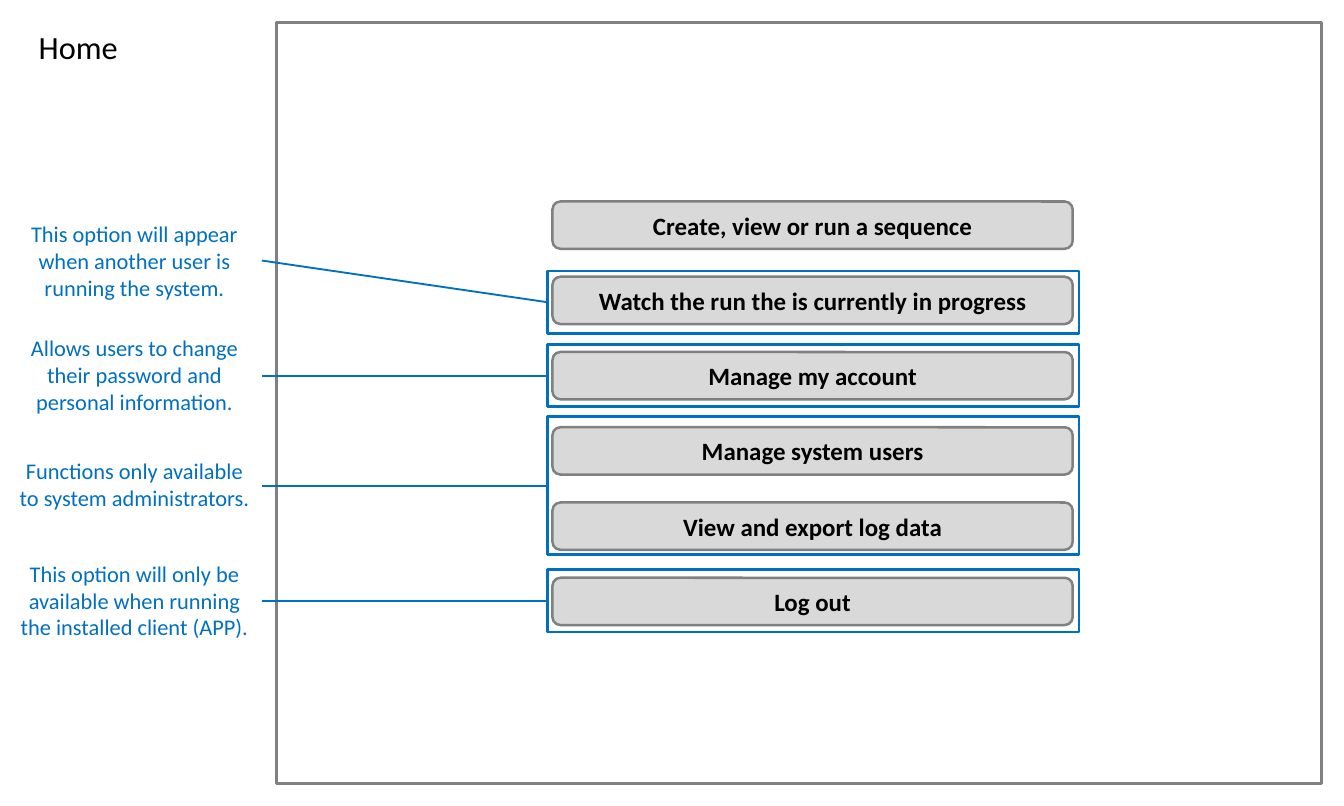
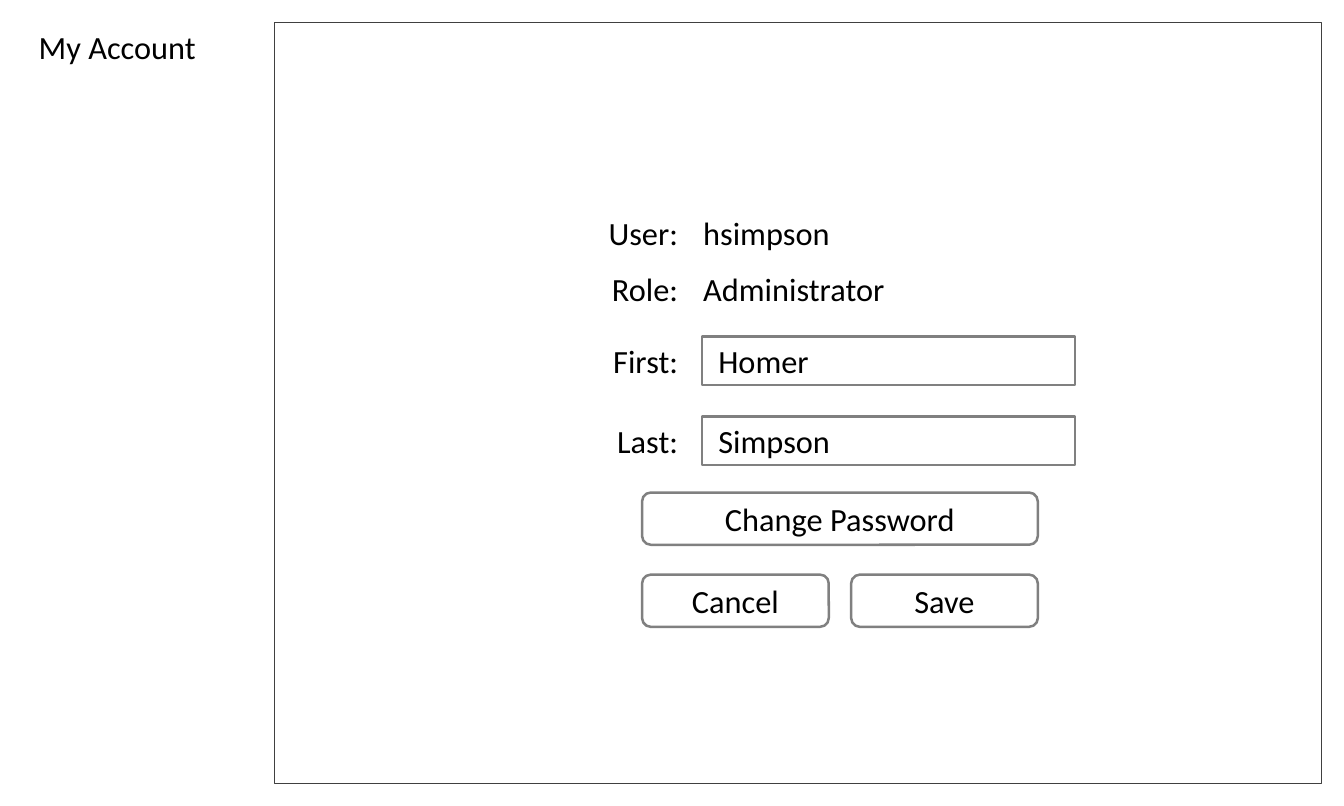
from dataclasses import dataclass

from lxml import etree
from pptx import Presentation
from pptx import util as u
from pptx.dml.color import RGBColor
from pptx.enum import shapes, text
from pptx.oxml.ns import qn

Pt = u.Pt
RECT = shapes.MSO_SHAPE.RECTANGLE
ROUND = shapes.MSO_SHAPE.ROUNDED_RECTANGLE
LEFT, CENTER, RIGHT = (text.PP_ALIGN.LEFT, text.PP_ALIGN.CENTER,
                       text.PP_ALIGN.RIGHT)


@dataclass(frozen=True)
class Theme:
    font: str = "Calibri"
    ink: str = "000000"
    white: str = "FFFFFF"
    grey: str = "808080"
    dark: str = "404040"
    button: str = "D9D9D9"
    accent: str = "0070C0"
    body: float = 26
    menu: float = 20
    note: float = 18
    line: float = 2
    leader: float = 1.5
    hairline: float = 1


T = Theme()


def rgb(value):
    return RGBColor.from_string(value)


def write(sp, words, size, color=T.ink, align=LEFT, bold=False):
    tf = sp.text_frame
    tf.word_wrap = True
    p = tf.paragraphs[0]
    p.alignment = align
    r = p.add_run()
    r.text = words
    r.font.name, r.font.size, r.font.bold = T.font, Pt(size), bold
    r.font.color.rgb = rgb(color)


def label(s, x, y, w, h, words, size=T.body, **style):
    sp = s.shapes.add_textbox(Pt(x), Pt(y), Pt(w), Pt(h))
    write(sp, words, size, **style)
    sp.text_frame.auto_size = text.MSO_AUTO_SIZE.SHAPE_TO_FIT_TEXT


def box(s, kind, x, y, w, h, fill=None, line=T.grey, weight=T.line):
    sp = s.shapes.add_shape(kind, Pt(x), Pt(y), Pt(w), Pt(h))
    sp.shadow.inherit = False
    if fill:
        sp.fill.solid()
        sp.fill.fore_color.rgb = rgb(fill)
    else:
        sp.fill.background()
    sp.line.color.rgb = rgb(line)
    sp.line.width = Pt(weight)
    return sp


def button(s, x, y, w, h, words, fill=T.white, size=T.body, bold=False):
    sp = box(s, ROUND, x, y, w, h, fill)
    write(sp, words, size, align=CENTER, bold=bold)
    tf = sp.text_frame
    tf.vertical_anchor = text.MSO_ANCHOR.MIDDLE
    tf.margin_top = tf.margin_bottom = 0


def field(s, x, y, w, h, words):
    sp = box(s, RECT, x, y, w, h, T.white)
    write(sp, words, T.body)
    sp.text_frame.vertical_anchor = text.MSO_ANCHOR.MIDDLE
    sp.text_frame.margin_left = Pt(13.2)


def leader(s, frame, x, y):
    """Line from the middle of the frame's left side to (x, y)."""
    cn = s.shapes.add_connector(shapes.MSO_CONNECTOR.STRAIGHT,
                                frame.left, frame.top, Pt(x), Pt(y))
    cn.begin_connect(frame, 1)
    cn.line.color.rgb = rgb(T.accent)
    cn.line.width = Pt(T.leader)
    etree.SubElement(cn._element.spPr, qn("a:effectLst"))


def screen(prs, title, x, **outline):
    """Blank slide with its title and the outline of the screen."""
    s = prs.slides.add_slide(prs.slide_layouts[6])
    label(s, 24, 18, 408, 39, title)
    box(s, RECT, x, 18, 1062 - x, 612, **outline)
    return s


def home(prs):
    s = screen(prs, "Home", 222)

    # Menu
    menu = ["Create, view or run a sequence",
            "Watch the run the is currently in progress",
            "Manage my account",
            "Manage system users",
            "View and export log data",
            "Log out"]
    for i, words in enumerate(menu):
        button(s, 444, 162 + 60.5 * i, 418, 38, words,
               T.button, T.menu, bold=True)

    # Notes: frame top and height, note top and height, leader end, words
    notes = [
        (218, 50, 173.5, 73, 209.5,
         "This option will appear when another user is running the system."),
        (277, 50, 265, 73, 302,
         "Allows users to change their password and personal information."),
        (335, 111, 364, 51, 390.5,
         "Functions only available to system administrators."),
        (458, 50, 446.5, 73, 483,
         "This option will only be available when running "
         "the installed client (APP)."),
    ]
    for frame_y, frame_h, note_y, note_h, end_y, words in notes:
        frame = box(s, RECT, 440, frame_y, 427, frame_h, line=T.accent)
        label(s, 6, note_y, 204, note_h, words, T.note,
              color=T.accent, align=CENTER)
        leader(s, frame, 210.5, end_y)


def my_account(prs):
    s = screen(prs, "My Account", 220.5,
               fill=T.white, line=T.dark, weight=T.hairline)

    # Account details
    rows = [(168, "User:", "hsimpson", False),
            (212.5, "Role:", "Administrator", False),
            (270.5, "First:", "Homer", True),
            (335, "Last:", "Simpson", True)]
    for y, name, value, editable in rows:
        label(s, 402, y, 150, 39, name, align=RIGHT)
        if editable:
            field(s, 564, y, 300, 39, value)
        else:
            label(s, 558, y, 189, 39, value)

    # Actions
    x, w, h, gap = 516, 150, 42, 18
    button(s, x, 396, 2 * w + gap, h, "Change Password")
    for i, words in enumerate(["Cancel", "Save"]):
        button(s, x + i * (w + gap), 462, w, h, words)


def main():
    prs = Presentation()
    prs.slide_width, prs.slide_height = Pt(1080), Pt(648)
    home(prs)
    my_account(prs)
    prs.save("out.pptx")


if __name__ == "__main__":
    main()
